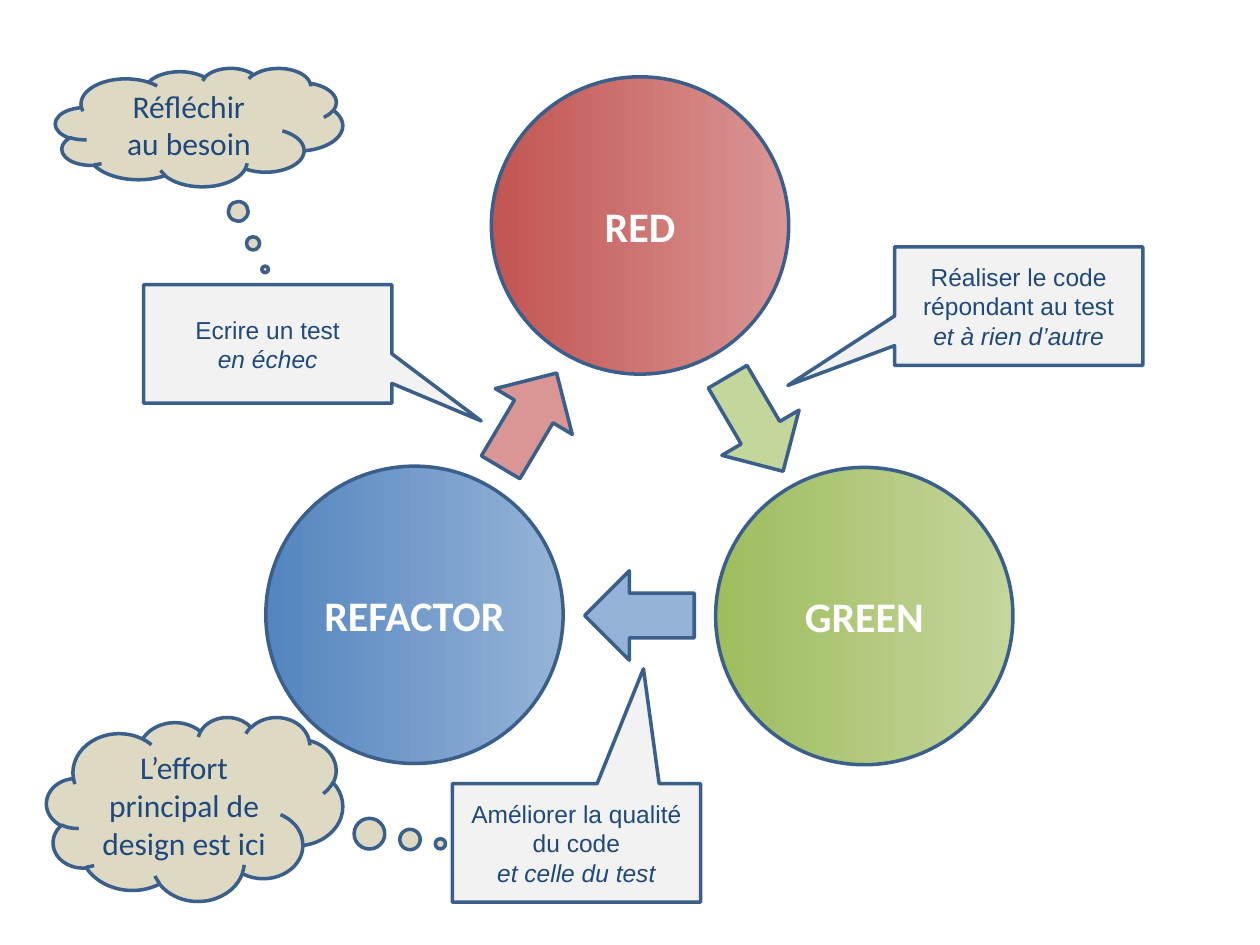
from dataclasses import dataclass

from pptx import Presentation
from pptx.dml.color import RGBColor
from pptx.enum.shapes import MSO_SHAPE
from pptx.enum.text import MSO_ANCHOR, PP_ALIGN
from pptx.util import Inches, Pt


@dataclass(frozen=True)
class Theme:
    outline: str = "3A5F8B"
    ink: str = "1F497D"
    white: str = "FFFFFF"
    note: str = "F2F2F2"
    cloud: str = "DDD9C3"
    red: tuple = ("C25552", "D99694")
    green: tuple = ("9EBD5E", "C3D69B")
    blue: tuple = ("5485BF", "95B3D7")
    heading: str = "Calibri"
    body: str = "Arial"
    phase_size: int = 24
    cloud_size: int = 18
    note_size: int = 14
    line_width: int = 2


class CycleSlide:
    """Draws the test cycle on a grid of 100 columns by 75 rows."""

    COLUMNS, ROWS = 100, 75

    def __init__(self, prs, theme):
        self.theme = theme
        self.slide = prs.slides.add_slide(prs.slide_layouts[6])
        self.column = prs.slide_width / self.COLUMNS
        self.row = prs.slide_height / self.ROWS

    def shape(self, kind, left, top, width, height, fill, adjust=(), rotation=0):
        x, w = (round(n * self.column) for n in (left, width))
        y, h = (round(n * self.row) for n in (top, height))
        s = self.slide.shapes.add_shape(kind, x, y, w, h)
        s.shadow.inherit = False
        s.rotation = rotation
        for i, value in enumerate(adjust):
            s.adjustments[i] = value
        if isinstance(fill, tuple):
            s.fill.gradient()
            s.fill.gradient_angle = 0
            for stop, color in zip(s.fill.gradient_stops, fill):
                stop.color.rgb = RGBColor.from_string(color)
        else:
            s.fill.solid()
            s.fill.fore_color.rgb = RGBColor.from_string(fill)
        s.line.color.rgb = RGBColor.from_string(self.theme.outline)
        s.line.width = Pt(self.theme.line_width)
        return s

    def paragraph(self, s, first=False):
        tf = s.text_frame
        tf.word_wrap = True
        tf.vertical_anchor = MSO_ANCHOR.MIDDLE
        p = tf.paragraphs[0] if first else tf.add_paragraph()
        p.alignment = PP_ALIGN.CENTER
        return p

    def run(self, p, text, color, **font):
        r = p.add_run()
        r.text = text
        r.font.color.rgb = RGBColor.from_string(color)
        for name, value in font.items():
            setattr(r.font, name, value)

    def phase(self, left, top, text, fill):
        s = self.shape(MSO_SHAPE.OVAL, left, top, 23.6, 23.6, fill)
        self.run(self.paragraph(s, True), text, self.theme.white,
                 name=self.theme.heading, size=Pt(self.theme.phase_size), bold=True)

    def note(self, left, top, tip, action, limit, same_paragraph=False):
        s = self.shape(MSO_SHAPE.RECTANGULAR_CALLOUT, left, top, 19.7, 9.4,
                       self.theme.note, tip)
        font = {"name": self.theme.body, "size": Pt(self.theme.note_size)}
        p = self.paragraph(s, True)
        self.run(p, action, self.theme.ink, **font)
        if same_paragraph:
            p.add_line_break()
        else:
            p = self.paragraph(s)
        self.run(p, limit, self.theme.ink, italic=True, **font)

    def thought(self, left, top, width, height, tip, *lines):
        s = self.shape(MSO_SHAPE.CLOUD_CALLOUT, left, top, width, height,
                       self.theme.cloud, tip)
        for i, text in enumerate(lines):
            self.run(self.paragraph(s, i == 0), text, self.theme.ink,
                     name=self.theme.heading, size=Pt(self.theme.cloud_size))

    def arrow(self, left, top, fill, rotation=0):
        self.shape(MSO_SHAPE.LEFT_ARROW, left, top, 8.7, 7.1, fill, (0.5, 0.5), rotation)


def main():
    prs = Presentation()
    prs.slide_width, prs.slide_height = Inches(10), Inches(7.5)
    theme = Theme()
    cycle = CycleSlide(prs, theme)

    cycle.phase(39, 6.1, "RED", theme.red)
    cycle.phase(56.8, 37.1, "GREEN", theme.green)
    cycle.phase(21.1, 37, "REFACTOR", theme.blue)

    cycle.note(71, 19.6, (-0.93, 0.67), "Réaliser le code répondant au test",
               "et à rien d’autre")
    cycle.note(35.9, 62.2, (0.27, -1.47), "Améliorer la qualité du code",
               "et celle du test")
    cycle.thought(3.7, 56.9, 23.5, 14.6, (0.83, 0.19),
                  "L’effort principal de design est ici")
    cycle.note(11.4, 22.6, (0.86, 0.65), "Ecrire un test", "en échec",
               same_paragraph=True)
    cycle.thought(4.4, 5.4, 22.8, 9.4, (0.23, 1.2), "Réfléchir", "au besoin")

    cycle.arrow(55.6, 30.1, theme.green[1], 239.6)
    cycle.arrow(37.6, 29.8, theme.red[1], 120.7)
    cycle.arrow(46.4, 45.3, theme.blue[1])

    prs.save("out.pptx")


if __name__ == "__main__":
    main()
